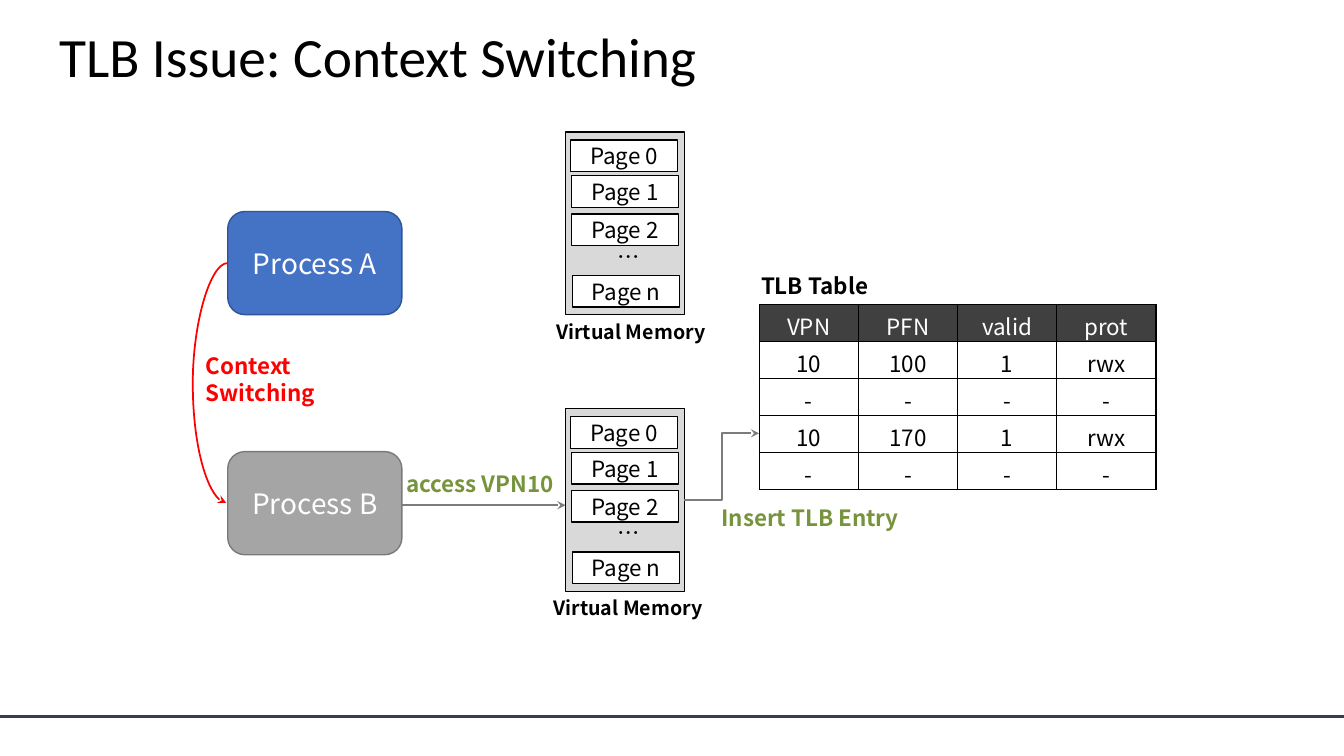
import pptx
import pptx.util
import pptx.dml.color
import pptx.enum.shapes
import pptx.enum.text
import pptx.oxml
import pptx.oxml.ns
from lxml import etree

Cm = pptx.util.Cm
Pt = pptx.util.Pt
RGB = pptx.dml.color.RGBColor
Kind = pptx.enum.shapes.MSO_SHAPE
Link = pptx.enum.shapes.MSO_CONNECTOR
Align = pptx.enum.text.PP_ALIGN
Anchor = pptx.enum.text.MSO_ANCHOR
qn = pptx.oxml.ns.qn

BLACK = RGB(0x00, 0x00, 0x00)
WHITE = RGB(0xFF, 0xFF, 0xFF)
BLUE = RGB(0x44, 0x72, 0xC4)
NAVY = RGB(0x2F, 0x55, 0x97)
SILVER = RGB(0xA5, 0xA5, 0xA5)
STEEL = RGB(0x7A, 0x7A, 0x7A)
PALE = RGB(0xD9, 0xD9, 0xD9)
DARK = RGB(0x40, 0x40, 0x40)
GREY = RGB(0x7C, 0x7C, 0x7C)
SLATE = RGB(0x33, 0x3F, 0x50)
RED = RGB(0xFF, 0x00, 0x00)
GREEN = RGB(0x77, 0x93, 0x3C)
SANS = "Noto Sans CJK KR"


def write(frame, text, size=16, color=BLACK, bold=False, font=SANS,
          align=Align.LEFT, space=None):
    """Fill a text frame, one paragraph for each line of text."""
    for n, line in enumerate(text.split("\n")):
        para = frame.add_paragraph() if n else frame.paragraphs[0]
        para.alignment = align
        if space:
            para.line_spacing = space
        run = para.add_run()
        run.text = line
        run.font.size = Pt(size)
        run.font.bold = bold
        run.font.color.rgb = color
        run.font.name = font
        props = run.font._element
        etree.SubElement(props, qn("a:ea")).set("typeface", font)


def label(slide, box, text, anchor=Anchor.TOP, **form):
    """Place free text in a box of left, top, width, height."""
    shape = slide.shapes.add_textbox(*map(Cm, box))
    shape.text_frame.word_wrap = True
    shape.text_frame.vertical_anchor = anchor
    write(shape.text_frame, text, **form)
    return shape


def block(slide, box, fill, edge, kind=Kind.RECTANGLE):
    """Place a filled and outlined shape."""
    shape = slide.shapes.add_shape(kind, *map(Cm, box))
    shape.shadow.inherit = False
    shape.fill.solid()
    shape.fill.fore_color.rgb = fill
    shape.line.color.rgb = edge
    shape.line.width = Pt(1)
    shape.text_frame.vertical_anchor = Anchor.MIDDLE
    return shape


def wire(slide, ends, color, width, kind=Link.STRAIGHT, head=True, bend=None):
    """Draw a connector; bend is the share of its width where it turns."""
    link = slide.shapes.add_connector(kind, *map(Cm, ends))
    link.line.color.rgb = color
    link.line.width = Pt(width)
    props = link._element.spPr
    if head:
        tail = etree.SubElement(link.line._get_or_add_ln(), qn("a:tailEnd"))
        tail.set("type", "stealth")
    if bend is not None:
        guide = etree.SubElement(props.find(".//" + qn("a:avLst")), qn("a:gd"))
        guide.set("name", "adj1")
        guide.set("fmla", f"val {round(bend * 100000)}")
    etree.SubElement(props, qn("a:effectLst"))
    return link


def process(slide, box, name, fill, edge):
    shape = block(slide, box, fill, edge, Kind.ROUNDED_RECTANGLE)
    write(shape.text_frame, name, size=20, color=WHITE, align=Align.CENTER)


def memory(slide, box, shift):
    """Place a virtual memory; shift is the caption's left offset."""
    left, top, wide, high = box
    block(slide, box, PALE, BLACK)
    pages = (("Page 0", 0.13, 0.2), ("Page 1", 0.15, 1.1),
             ("Page 2", 0.15, 2.06), ("Page n", 0.18, 3.61))
    for name, x, y in pages:
        page = block(slide, (left + x, top + y, 2.7, 0.8), WHITE, BLACK)
        page.text_frame.margin_left = page.text_frame.margin_right = 0
        write(page.text_frame, name, align=Align.CENTER)
    label(slide, (left + 1.07, top + 2.66, 2.95, 0.94), "…")
    label(slide, (left + shift, top + high, 4.88, 0.86), "Virtual Memory",
          size=14, bold=True, align=Align.CENTER)


def border(cell):
    """Outline all four sides of a cell."""
    props = cell._tc.get_or_add_tcPr()
    for n, side in enumerate("LRTB"):
        line = pptx.oxml.parse_xml(
            f'<a:ln{side} {pptx.oxml.ns.nsdecls("a")} w="12700"><a:solidFill>'
            f'<a:srgbClr val="{BLACK}"/></a:solidFill></a:ln{side}>')
        props.insert(n, line)


def buffer(slide, box, rows):
    """Place the TLB table with its heading above."""
    left, top, wide, high = box
    title = label(slide, (left - 0.2, top - 0.94, 3.9, 0.94), "TLB Table",
                  bold=True)
    title.fill.solid()
    title.fill.fore_color.rgb = WHITE
    table = slide.shapes.add_table(len(rows), len(rows[0]),
                                   *map(Cm, box)).table
    table.first_row = table.horz_banding = False
    for r, row in enumerate(rows):
        for c, text in enumerate(row):
            cell = table.cell(r, c)
            if r:
                cell.fill.background()
            else:
                cell.fill.solid()
                cell.fill.fore_color.rgb = DARK
            border(cell)
            write(cell.text_frame, text, color=BLACK if r else WHITE,
                  align=Align.CENTER)


def flow(slide):
    """Draw the arrows and their captions."""
    wire(slide, (10.13, 12.73, 14.25, 12.73), GREY, 1.5)
    wire(slide, (17.25, 12.6, 19.13, 10.92), GREY, 1.5, Link.ELBOW)
    wire(slide, (5.74, 6.63, 5.7, 12.67), RED, 1.25, Link.CURVE, bend=22)
    label(slide, (4.93, 8.76, 3.76, 1.63), "Context\nSwitching",
          color=RED, bold=True)
    label(slide, (9.32, 11.73, 5.56, 0.94), "access VPN10",
          color=GREEN, bold=True, align=Align.CENTER)
    label(slide, (17.93, 12.57, 5.56, 0.94), "Insert TLB Entry",
          color=GREEN, bold=True)


def main():
    deck = pptx.Presentation()
    deck.slide_width, deck.slide_height = Cm(33.87), Cm(19.05)
    slide = deck.slides.add_slide(deck.slide_layouts[6])

    # Frame
    wire(slide, (0, 18.06, 33.87, 18.06), SLATE, 2, head=False)
    label(slide, (1.24, 0.69, 24.41, 1.63), "TLB Issue: Context Switching",
          Anchor.MIDDLE, size=39.6, font="Calibri", space=0.9)

    # Processes and their memories
    process(slide, (5.74, 5.33, 4.39, 2.6), "Process A", BLUE, NAVY)
    process(slide, (5.74, 11.38, 4.39, 2.6), "Process B", SILVER, STEEL)
    memory(slide, (14.25, 3.33, 3, 4.6), -0.79)
    memory(slide, (14.25, 10.3, 3, 4.6), -0.86)

    # Translation table
    buffer(slide, (19.13, 7.67, 10, 4.65), (
        ("VPN", "PFN", "valid", "prot"),
        ("10", "100", "1", "rwx"),
        ("-",) * 4,
        ("10", "170", "1", "rwx"),
        ("-",) * 4))

    flow(slide)
    deck.save("out.pptx")


if __name__ == "__main__":
    main()
